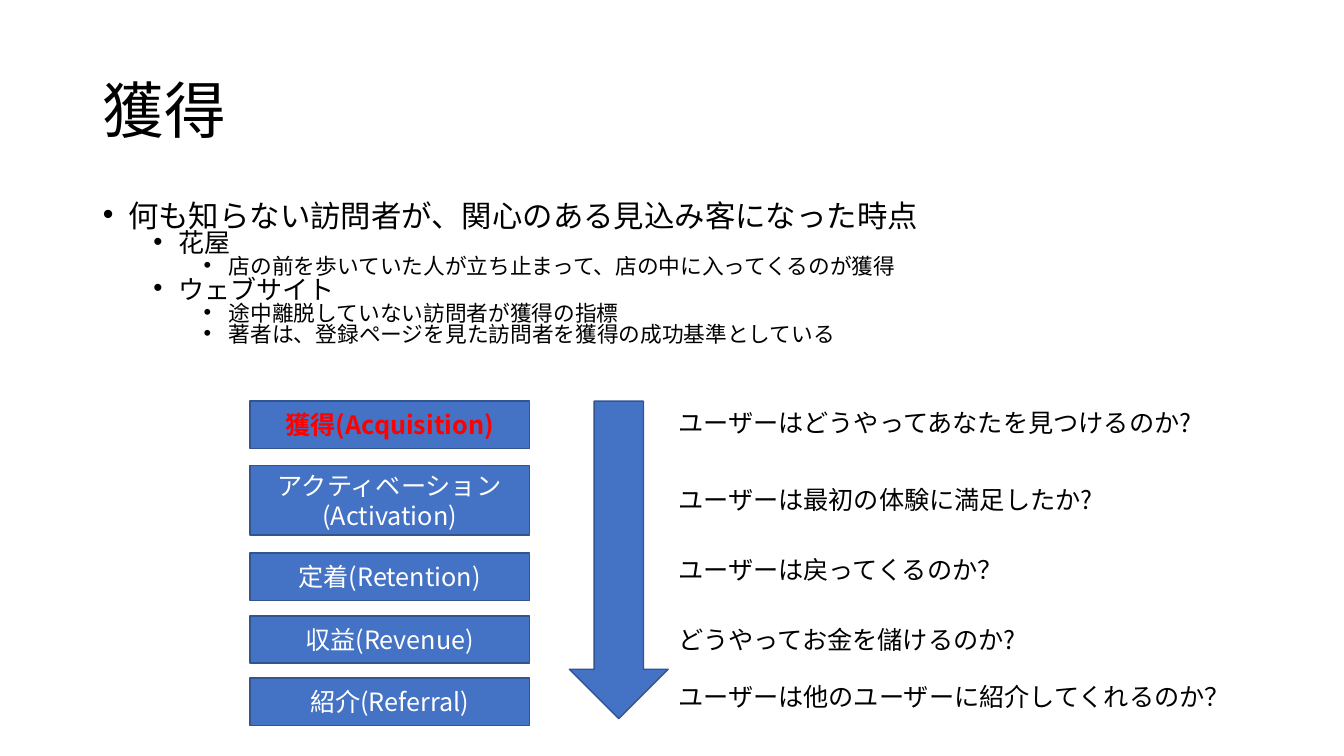
from lxml import etree
from pptx import Presentation
from pptx.dml.color import RGBColor
from pptx.enum.shapes import MSO_SHAPE
from pptx.enum.text import MSO_ANCHOR, MSO_AUTO_SIZE, PP_ALIGN
from pptx.oxml.ns import qn
from pptx.util import Cm, Pt

RECTANGLE, DOWN_ARROW = MSO_SHAPE.RECTANGLE, MSO_SHAPE.DOWN_ARROW
LEFT, CENTER = PP_ALIGN.LEFT, PP_ALIGN.CENTER
MIDDLE, TOP, NO_FIT = MSO_ANCHOR.MIDDLE, MSO_ANCHOR.TOP, MSO_AUTO_SIZE.NONE
FONT = "Noto Sans CJK JP"
BLACK, WHITE, RED, BLUE, NAVY = "000000", "FFFFFF", "FF0000", "4472C4", "325491"


def write(paragraph, text, size, color=BLACK, bold=False, **paragraph_format):
    """Add one formatted run, with the font set for Latin and Japanese."""
    for name, value in paragraph_format.items():
        setattr(paragraph, name, value)
    run = paragraph.add_run()
    run.text = text
    for name, value in {"size": Pt(size), "bold": bold, "name": FONT}.items():
        setattr(run.font, name, value)
    run.font.color.rgb = RGBColor.from_string(color)
    east_asian = etree.Element(qn("a:ea"), typeface=FONT)
    run.font._element.find(qn("a:latin")).addnext(east_asian)


def add_blue_shape(kind, left, top, width, height):
    shape = slide.shapes.add_shape(kind, Cm(left), Cm(top), Cm(width), Cm(height))
    shape.shadow.inherit = False
    shape.fill.solid()
    shape.fill.fore_color.rgb = RGBColor.from_string(BLUE)
    shape.line.color.rgb = RGBColor.from_string(NAVY)
    shape.line.width = Pt(1)
    return shape


presentation = Presentation()
presentation.slide_width, presentation.slide_height = Cm(33.87), Cm(19.05)
slide = presentation.slides.add_slide(presentation.slide_layouts[1])
title, body = slide.placeholders

# Placeholders
for placeholder, top, height, anchor in [(title, 1.02, 3.68, MIDDLE), (body, 5.08, 4.45, TOP)]:
    box = {"left": Cm(2.34), "top": Cm(top), "width": Cm(29.21), "height": Cm(height)}
    for name, value in box.items():
        setattr(placeholder, name, value)
    placeholder.text_frame.auto_size = NO_FIT
    placeholder.text_frame.vertical_anchor = anchor

# Title
write(title.text_frame.paragraphs[0], "獲得", 44, alignment=LEFT, line_spacing=0.9)

# Bulleted list
level_sizes = [21.7, 18.6, 15.5]
points = [
    (0, "何も知らない訪問者が、関心のある見込み客になった時点"),
    (1, "花屋"),
    (2, "店の前を歩いていた人が立ち止まって、店の中に入ってくるのが獲得"),
    (1, "ウェブサイト"),
    (2, "途中離脱していない訪問者が獲得の指標"),
    (2, "著者は、登録ページを見た訪問者を獲得の成功基準としている"),
]
for index, (level, text) in enumerate(points):
    frame = body.text_frame
    paragraph = frame.add_paragraph() if index else frame.paragraphs[0]
    write(paragraph, text, level_sizes[level], level=level, alignment=LEFT,
          line_spacing=0.7, space_before=Pt(2.2 if index else 0))
    properties = paragraph._p.get_or_add_pPr()
    properties.set("marL", str(Cm(0.635 + 1.27 * level)))
    properties.set("indent", str(-Cm(0.635)))
    etree.SubElement(properties, qn("a:buFont"), typeface="Arial")
    etree.SubElement(properties, qn("a:buChar"), char="•")

# Funnel stages: label, top, height, text colour
stages = [
    ("獲得(Acquisition)", 10.11, 1.19, RED),
    ("アクティベーション(Activation)", 11.73, 1.75, WHITE),
    ("定着(Retention)", 13.94, 1.19, WHITE),
    ("収益(Revenue)", 15.52, 1.19, WHITE),
    ("紹介(Referral)", 17.09, 1.19, WHITE),
]
for label, top, height, color in stages:
    stage = add_blue_shape(RECTANGLE, 6.3, top, 7.04, height)
    stage.text_frame.word_wrap = True
    stage.text_frame.vertical_anchor = MIDDLE
    write(stage.text_frame.paragraphs[0], label, 18, color, color == RED, alignment=CENTER)

# Direction of the funnel
add_blue_shape(DOWN_ARROW, 14.35, 10.11, 2.49, 8)

# Question for each stage: text, top, width
questions = [
    ("ユーザーはどうやってあなたを見つけるのか?", 10.13, 14.05),
    ("ユーザーは最初の体験に満足したか?", 12.09, 14.05),
    ("ユーザーは戻ってくるのか？", 13.84, 14.05),
    ("どうやってお金を儲けるのか?", 15.6, 14.05),
    ("ユーザーは他のユーザーに紹介してくれるのか？", 17.04, 15.27),
]
for text, top, width in questions:
    question = slide.shapes.add_textbox(Cm(16.84), Cm(top), Cm(width), Cm(1.02))
    question.text_frame.word_wrap = True
    write(question.text_frame.paragraphs[0], text, 18)

presentation.save("out.pptx")
